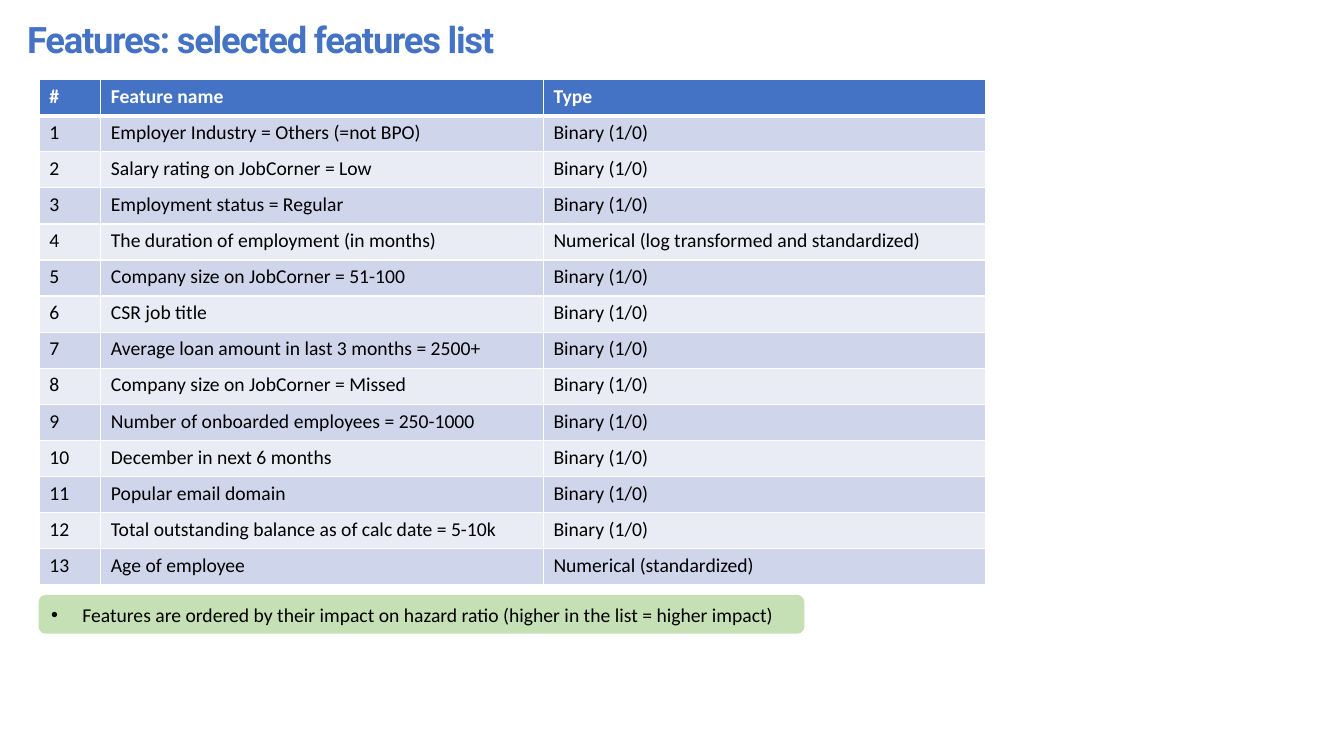
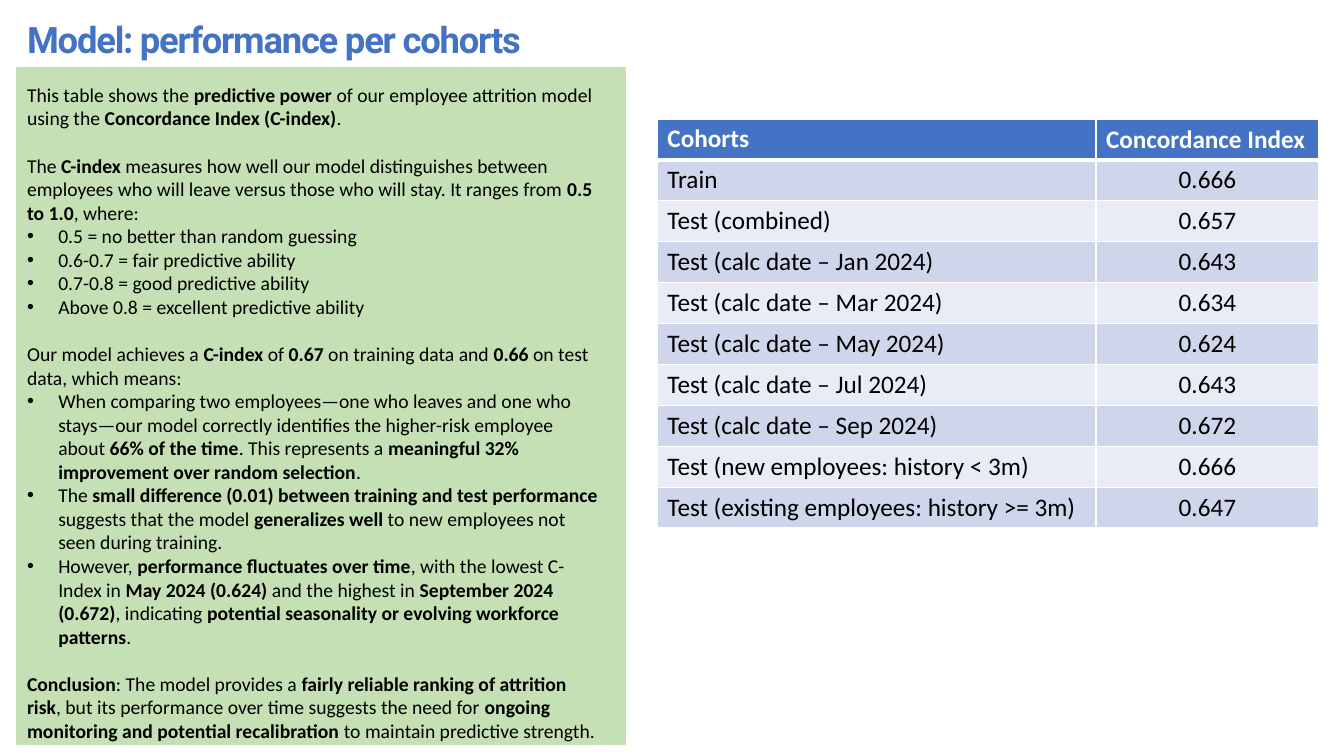
import pptx
import pptx.dml.color
import pptx.enum.shapes
import pptx.enum.text
import pptx.oxml.ns
import pptx.util
from lxml import etree

EMU_PER_PX = 9144  # 100 px to the inch
BLUE, GREEN, WHITE, BLACK = "4472C4", "C5E0B4", "FFFFFF", "000000"
BAND_FILLS = ("CFD5EA", "E9EBF5")
BODY_FONT, TITLE_FONT = "Calibri", "Roboto"
BODY_SIZE, TITLE_SIZE = 14, 26
TITLE_BOX = (17, 12, 1270, 54)
BULLET_INDENT = 31
PARAGRAPH_GAP = 17

ANCHOR = pptx.enum.text.MSO_ANCHOR
ALIGN = pptx.enum.text.PP_ALIGN
SHAPE = pptx.enum.shapes.MSO_SHAPE

BINARY = "Binary (1/0)"
FEATURES = [
    ("Employer Industry = Others (=not BPO)", BINARY),
    ("Salary rating on JobCorner = Low", BINARY),
    ("Employment status = Regular", BINARY),
    ("The duration of employment (in months)",
     "Numerical (log transformed and standardized)"),
    ("Company size on JobCorner = 51-100", BINARY),
    ("CSR job title", BINARY),
    ("Average loan amount in last 3 months = 2500+", BINARY),
    ("Company size on JobCorner = Missed", BINARY),
    ("Number of onboarded employees = 250-1000", BINARY),
    ("December in next 6 months", BINARY),
    ("Popular email domain", BINARY),
    ("Total outstanding balance as of calc date = 5-10k", BINARY),
    ("Age of employee", "Numerical (standardized)"),
]
ORDER_NOTE = ("• Features are ordered by their impact on hazard ratio "
              "(higher in the list = higher impact)")

COHORTS = [
    ("Train", "0.666"),
    ("Test (combined)", "0.657"),
    ("Test (calc date – Jan 2024)", "0.643"),
    ("Test (calc date – Mar 2024)", "0.634"),
    ("Test (calc date – May 2024)", "0.624"),
    ("Test (calc date – Jul 2024)", "0.643"),
    ("Test (calc date – Sep 2024)", "0.672"),
    ("Test (new employees: history < 3m)", "0.666"),
    ("Test (existing employees: history >= 3m)", "0.647"),
]
# Each inner list is one block; ** switches bold, a leading • makes a bullet.
EXPLANATION = [
    ["This table shows the **predictive power** of our employee attrition "
     "model using the **Concordance Index (C-index)**."],
    ["The **C-index** measures how well our model distinguishes between "
     "employees who will leave versus those who will stay. It ranges from"
     "** 0.5 to 1.0**, where:",
     "• 0.5 = no better than random guessing",
     "• 0.6-0.7 = fair predictive ability",
     "• 0.7-0.8 = good predictive ability",
     "• Above 0.8 = excellent predictive ability"],
    ["Our model achieves a **C-index** of **0.67** on training data and "
     "**0.66** on test data, which means:",
     "• When comparing two employees—one who leaves and one who stays—our "
     "model correctly identifies the higher-risk employee about** 66% of the "
     "time**. This represents a **meaningful 32% improvement over random "
     "selection**.",
     "• The **small difference (0.01) between training and test performance** "
     "suggests that the model **generalizes well** to new employees not seen "
     "during training.",
     "• However, **performance fluctuates over time**, with the lowest C-Index "
     "in **May 2024 (0.624)** and the highest in **September 2024 (0.672)**, "
     "indicating **potential seasonality or evolving workforce patterns**."],
    ["**Conclusion**: The model provides a **fairly reliable ranking of "
     "attrition risk**, but its performance over time suggests the need for "
     "**ongoing monitoring and potential recalibration** to maintain "
     "predictive strength."],
]


def px(length):
    return pptx.util.Emu(length * EMU_PER_PX)


def rgb(hex_color):
    return pptx.dml.color.RGBColor.from_string(hex_color)


def add_child(parent, tag, **attributes):
    return etree.SubElement(parent, pptx.oxml.ns.qn(tag), **attributes)


def add_run(paragraph, text, size, color=BLACK, bold=False, font=BODY_FONT):
    run = paragraph.add_run()
    run.text = text
    run.font.size = pptx.util.Pt(size)
    run.font.name = font
    run.font.bold = bold
    run.font.color.rgb = rgb(color)
    return run


def write_paragraph(paragraph, marked_text):
    paragraph.alignment = ALIGN.LEFT
    if marked_text.startswith("• "):
        marked_text = marked_text[2:]
        properties = paragraph._p.get_or_add_pPr()
        properties.set("marL", str(px(BULLET_INDENT)))
        properties.set("indent", str(-px(BULLET_INDENT)))
        add_child(properties, "a:buFont", typeface="Arial")
        add_child(properties, "a:buChar", char="•")
    for index, part in enumerate(marked_text.split("**")):
        if part:
            add_run(paragraph, part, BODY_SIZE, bold=index % 2 == 1)


def add_title(slide, text):
    frame = slide.shapes.add_textbox(*map(px, TITLE_BOX)).text_frame
    frame.word_wrap = True
    run = add_run(frame.paragraphs[0], text, TITLE_SIZE, BLUE, True, TITLE_FONT)
    run.font._element.set("spc", "-90")


def add_panel(slide, box, blocks, outline=SHAPE.RECTANGLE, anchor=ANCHOR.TOP,
              top_inset=5, right_inset=10):
    """Green panel holding blocks of paragraphs, with a gap between blocks."""
    panel = slide.shapes.add_shape(outline, *map(px, box))
    panel.shadow.inherit = False
    panel.fill.solid()
    panel.fill.fore_color.rgb = rgb(GREEN)
    panel.line.color.rgb = rgb(GREEN)
    panel.line.width = pptx.util.Pt(1)
    frame = panel.text_frame
    frame.word_wrap = True
    frame.vertical_anchor = anchor
    frame.margin_top, frame.margin_right = px(top_inset), px(right_inset)
    paragraph = frame.paragraphs[0]
    for block_index, block in enumerate(blocks):
        for line_index, line in enumerate(block):
            if block_index or line_index:
                paragraph = frame.add_paragraph()
            write_paragraph(paragraph, line)
            if block_index and not line_index:
                paragraph.space_before = pptx.util.Pt(PARAGRAPH_GAP)


def set_borders(cell, top, bottom):
    """White borders, 1 pt at the sides, top and bottom in points."""
    properties = cell._tc.get_or_add_tcPr()
    for side, width in (("L", 1), ("R", 1), ("T", top), ("B", bottom)):
        border = add_child(properties, f"a:ln{side}",
                           w=str(pptx.util.Pt(width)))
        fill = add_child(border, "a:solidFill")
        add_child(fill, "a:srgbClr", val=WHITE)


def add_banded_table(slide, left, top, widths, row_height, rows, size,
                     centred_columns=()):
    """Table whose first row is the header."""
    table = slide.shapes.add_table(
        len(rows), len(widths), px(left), px(top),
        px(sum(widths)), px(row_height * len(rows))).table
    for column, width in zip(table.columns, widths):
        column.width = px(width)
    for r, row in enumerate(rows):
        header = r == 0
        for c, text in enumerate(row):
            cell = table.cell(r, c)
            set_borders(cell, 3 if r == 1 else 1, 3 if header else 1)
            cell.fill.solid()
            cell.fill.fore_color.rgb = rgb(
                BLUE if header else BAND_FILLS[(r - 1) % 2])
            paragraph = cell.text_frame.paragraphs[0]
            if c in centred_columns:
                cell.vertical_anchor = ANCHOR.MIDDLE
                if not header:
                    paragraph.alignment = ALIGN.CENTER
            add_run(paragraph, text, size, WHITE if header else BLACK, header)


def build_features(slide):
    add_title(slide, "Features: selected features list")
    rows = [("#", "Feature name", "Type")]
    rows += [(str(n), *feature) for n, feature in enumerate(FEATURES, 1)]
    add_banded_table(slide, 39, 79, (61, 439, 439), 35.8, rows, 14)
    add_panel(slide, (39, 591, 758, 37), [[ORDER_NOTE]],
              SHAPE.ROUNDED_RECTANGLE, ANCHOR.MIDDLE)


def build_performance(slide):
    rows = [("Cohorts", "Concordance Index")] + COHORTS
    add_banded_table(slide, 652, 118, (435, 221), 40.6, rows, 18, (1,))
    add_panel(slide, (17, 67, 603, 671), EXPLANATION,
              top_inset=15, right_inset=20)
    add_title(slide, "Model: performance per cohorts")


def main():
    deck = pptx.Presentation()
    deck.slide_width, deck.slide_height = px(1333), px(750)
    for build in (build_features, build_performance):
        build(deck.slides.add_slide(deck.slide_layouts[6]))
    deck.save("out.pptx")


# Fractional row heights are rounded to whole EMU by Emu().
if __name__ == "__main__":
    main()
